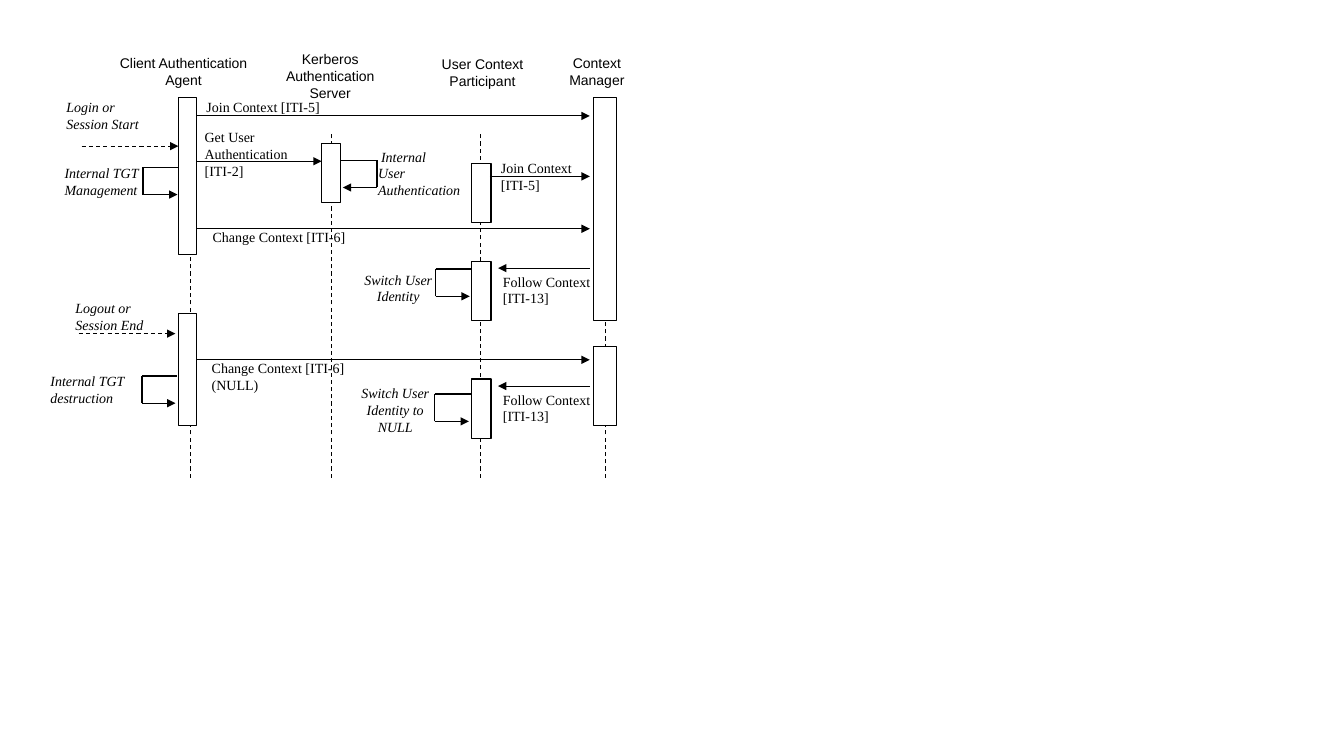
from dataclasses import dataclass

from lxml import etree
from pptx import Presentation
from pptx.dml.color import RGBColor
from pptx.enum.dml import MSO_LINE_DASH_STYLE as Dash
from pptx.enum.shapes import MSO_CONNECTOR as Connector, MSO_SHAPE as Shape
from pptx.enum.text import MSO_ANCHOR as Anchor, PP_ALIGN as Align
from pptx.oxml.ns import qn
from pptx.util import Inches, Pt


@dataclass(frozen=True)
class Theme:
    ink: RGBColor = RGBColor(0, 0, 0)
    paper: RGBColor = RGBColor(255, 255, 255)
    heading_font: str = "Arial"
    message_font: str = "Times New Roman"
    text_size: float = 10
    thin: float = 0.75
    bold: float = 1


@dataclass(frozen=True)
class Region:
    left: float
    top: float

    def place(self, x, y):
        return Inches(self.left + x), Inches(self.top + y)


THEME = Theme()
CLIENT_EDGE = 1.45
MANAGER_EDGE = 5.35


def draw_line(shapes, region, start, end, width=THEME.thin, dashed=False, arrow=False):
    connector = shapes.add_connector(
        Connector.STRAIGHT, *region.place(*start), *region.place(*end))
    connector.line.color.rgb = THEME.ink
    connector.line.width = Pt(width)
    if dashed:
        connector.line.dash_style = Dash.DASH
    if arrow:
        outline = connector.line._get_or_add_ln()
        etree.SubElement(outline, qn("a:tailEnd"), type="triangle")
    etree.SubElement(connector._element.spPr, qn("a:effectLst"))


def draw_label(shapes, region, box, text, font=THEME.message_font, italic=False,
               align=Align.LEFT, padded=False, filled=False, first_indent=0):
    x, y, width, height = box
    label = shapes.add_textbox(*region.place(x, y), Inches(width), Inches(height))
    if filled:
        label.fill.solid()
        label.fill.fore_color.rgb = THEME.paper
    frame = label.text_frame
    frame.word_wrap = True
    frame.vertical_anchor = Anchor.TOP
    if not padded:
        frame.margin_left = frame.margin_right = 0
        frame.margin_top = frame.margin_bottom = 0
    for index, line in enumerate(text.split("\n")):
        paragraph = frame.add_paragraph() if index else frame.paragraphs[0]
        paragraph.alignment = align
        if first_indent and index == 0:
            paragraph._p.get_or_add_pPr().set("indent", str(Inches(first_indent)))
        run = paragraph.add_run()
        run.text = line
        run.font.name = font
        run.font.size = Pt(THEME.text_size)
        run.font.italic = italic
        run.font.color.rgb = THEME.ink


def draw_activation(shapes, region, box):
    x, y, width, height = box
    bar = shapes.add_shape(
        Shape.RECTANGLE, *region.place(x, y), Inches(width), Inches(height))
    bar.shadow.inherit = False
    bar.fill.solid()
    bar.fill.fore_color.rgb = THEME.paper
    bar.line.color.rgb = THEME.ink
    bar.line.width = Pt(THEME.thin)


def draw_self_call(shapes, region, bar_edge, turn, y, height=0.27):
    loop = shapes.add_group_shape().shapes
    gap = 0.02 if turn > bar_edge else -0.02
    draw_line(loop, region, (turn, y + height), (bar_edge + gap, y + height), arrow=True)
    draw_line(loop, region, (turn, y + height), (turn, y), THEME.bold)
    draw_line(loop, region, (turn, y), (bar_edge, y), THEME.bold)


def draw_message(shapes, region, start, end, y, box, text, padded=False, filled=False):
    draw_label(shapes, region, box, text, padded=padded, filled=filled)
    draw_line(shapes, region, (start, y), (end, y), arrow=True)


def draw_trigger(shapes, region, start, end, y, box, text):
    draw_label(shapes, region, box, text, italic=True, padded=True, filled=True)
    draw_line(shapes, region, (start, y), (end, y), dashed=True, arrow=True)


def draw_participant(shapes, region, name, label_box, lifeline, bar_left, bar_width, spans,
                     padded=False):
    draw_line(shapes, region, (lifeline, 4.24), (lifeline, 0.83), dashed=True)
    draw_label(shapes, region, label_box, name, THEME.heading_font,
               align=Align.CENTER, padded=padded, filled=not padded)
    for top, height in spans:
        draw_activation(shapes, region, (bar_left, top, bar_width, height))


def draw_participants(shapes, region):
    draw_participant(shapes, region, "Client Authentication Agent",
                     (0.64, 0.04, 1.36, 0.35), 1.39, 1.27, 0.18, [(0.47, 1.56), (2.61, 1.11)])
    draw_participant(shapes, region, "Kerberos Authentication Server",
                     (2.15, 0, 1.25, 0.35), 2.79, 2.69, 0.19, [(0.92, 0.59)])
    draw_participant(shapes, region, "User Context Participant",
                     (3.7, 0, 1.17, 0.52), 4.27, 4.18, 0.19,
                     [(top, 0.59) for top in (1.12, 2.09, 3.26)], padded=True)
    draw_participant(shapes, region, "Context Manager",
                     (4.92, 0.04, 1, 0.35), 5.51, 5.39, 0.22, [(0.47, 2.21), (2.94, 0.78)])


def draw_follow_context(shapes, region, y):
    draw_message(shapes, region, MANAGER_EDGE, 4.44, y, (4.39, y, 1.17, 0.52),
                 "Follow Context [ITI-13]", padded=True)


def draw_login(shapes, region):
    draw_trigger(shapes, region, 0.31, 1.27, 0.55, (0.06, 0.03, 1.09, 0.47),
                 "Login or Session Start")
    draw_message(shapes, region, CLIENT_EDGE, MANAGER_EDGE, 0.25, (1.45, 0.03, 1.67, 0.29),
                 "Join Context [ITI-5]", padded=True)
    draw_message(shapes, region, CLIENT_EDGE, 2.69, 0.7, (1.53, 0.38, 1.09, 0.53),
                 "Get User Authentication [ITI-2]", filled=True)
    draw_label(shapes, region, (0.14, 0.73, 1.08, 0.33), "Internal TGT Management",
               italic=True, filled=True)
    draw_self_call(shapes, region, 1.28, 0.92, 0.76)
    draw_label(shapes, region, (3.25, 0.57, 0.9, 0.66), "Internal\nUser\nAuthentication",
               italic=True, filled=True, first_indent=0.03)
    draw_self_call(shapes, region, 2.88, 3.24, 0.69)
    draw_message(shapes, region, 4.36, MANAGER_EDGE, 0.85, (4.37, 0.63, 1.17, 0.48),
                 "Join Context [ITI-5]", padded=True)
    draw_message(shapes, region, CLIENT_EDGE, MANAGER_EDGE, 1.37, (1.61, 1.37, 1.56, 0.32),
                 "Change Context [ITI-6]")
    draw_follow_context(shapes, region, 1.76)
    draw_label(shapes, region, (2.93, 1.74, 1.04, 0.52), "Switch User Identity",
               italic=True, align=Align.CENTER, padded=True)
    draw_self_call(shapes, region, 4.18, 3.82, 1.77)


def draw_logout(shapes, region):
    draw_trigger(shapes, region, 0.28, 1.24, 0.41, (0.15, 0.02, 1.09, 0.47),
                 "Logout or Session End")
    draw_label(shapes, region, (0, 0.8, 1.08, 0.33), "Internal TGT destruction", italic=True)
    draw_self_call(shapes, region, 1.26, 0.91, 0.83)
    draw_message(shapes, region, CLIENT_EDGE, MANAGER_EDGE, 0.67, (1.6, 0.67, 1.69, 0.32),
                 "Change Context [ITI-6] (NULL)")
    draw_follow_context(shapes, region, 0.93)
    draw_label(shapes, region, (2.9, 0.87, 1.04, 0.78), "Switch User Identity to NULL",
               italic=True, align=Align.CENTER, padded=True)
    draw_self_call(shapes, region, 4.17, 3.81, 1.01)


def main():
    deck = Presentation()
    deck.slide_width = Inches(13.33)
    deck.slide_height = Inches(7.5)
    shapes = deck.slides.add_slide(deck.slide_layouts[6]).shapes
    draw_participants(shapes, Region(0.5, 0.5))
    draw_login(shapes, Region(0.5, 0.9))
    draw_logout(shapes, Region(0.5, 2.9))
    deck.save("out.pptx")


if __name__ == "__main__":
    main()
